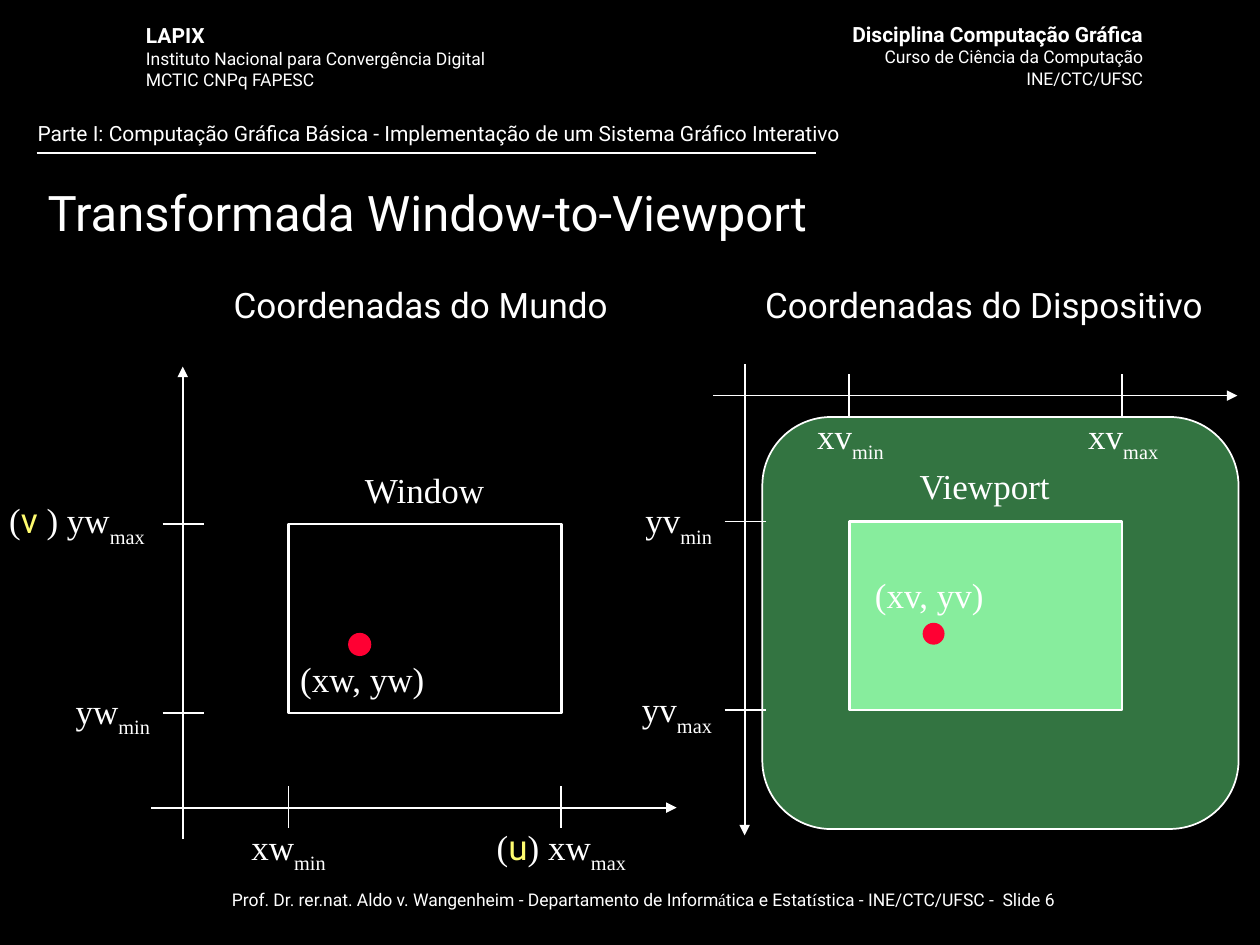
from pptx import Presentation
from pptx.dml.color import RGBColor
from pptx.enum.shapes import MSO_CONNECTOR, MSO_SHAPE
from pptx.enum.text import MSO_ANCHOR, MSO_AUTO_SIZE, PP_ALIGN
from pptx.oxml.ns import qn
from pptx.util import Inches, Pt
from lxml import etree

LEFT, MID, RIGHT = PP_ALIGN.LEFT, PP_ALIGN.CENTER, PP_ALIGN.RIGHT
TOP, MIDDLE = MSO_ANCHOR.TOP, MSO_ANCHOR.MIDDLE
GROW, FIXED = MSO_AUTO_SIZE.SHAPE_TO_FIT_TEXT, MSO_AUTO_SIZE.NONE
RECT, ROUND, DOT = MSO_SHAPE.RECTANGLE, MSO_SHAPE.ROUNDED_RECTANGLE, MSO_SHAPE.OVAL
STRAIGHT = MSO_CONNECTOR.STRAIGHT

SANS, SERIF = "Roboto", "Times New Roman"
WHITE, BLACK, YELLOW, RED = "FFFFFF", "000000", "FFFC6F", "FF0033"
GREEN, MINT = "66E882", "87ED9D"
COLS, ROWS = 100, 75


def tint(code):
    return RGBColor.from_string(code)


def part(text, font=SERIF, size=20, color=WHITE, bold=False, sub=False):
    """Describe one run of text."""
    return text, font, size, color, bold, sub


def sans(text, size, bold=False):
    return part(text, SANS, size, bold=bold)


def term(name, sub, mark=None, gap=""):
    """Runs of a subscripted name, with an optional yellow mark before it."""
    lead = [part(name)]
    if mark:
        lead = [part("("), part(mark, SANS, color=YELLOW), part(f"{gap}) {name}")]
    return [lead + [part(sub, sub=True)]]


class Board:
    """Draws on one slide; every length is in grid columns and rows."""

    def __init__(self, deck):
        self.col = deck.slide_width / COLS
        self.row = deck.slide_height / ROWS
        self.slide = deck.slides.add_slide(deck.slide_layouts[6])
        self.shapes = self.slide.shapes
        fill = self.slide.background.fill
        fill.solid()
        fill.fore_color.rgb = tint(BLACK)

    def place(self, *cells):
        """Turn alternating columns and rows into lengths."""
        return [round(n * (self.row if i % 2 else self.col))
                for i, n in enumerate(cells)]

    def text(self, box, paras, align=MID, wrap=False, size=GROW, anchor=TOP, before=0):
        frame = self.shapes.add_textbox(*self.place(*box)).text_frame
        frame.word_wrap = wrap
        frame.auto_size = size
        frame.vertical_anchor = anchor
        for i, parts in enumerate(paras):
            para = frame.add_paragraph() if i else frame.paragraphs[0]
            para.alignment = align
            para.space_before = Pt(before)
            for item in parts:
                self.run(para, *item)

    def run(self, para, text, name, size, color, bold, sub):
        run = para.add_run()
        run.text = text
        font = run.font
        font.name, font.size, font.bold = name, Pt(size), bold
        font.color.rgb = tint(color)
        if sub:
            run._r.get_or_add_rPr().set("baseline", "-30000")

    def line(self, start, end, arrow=False):
        line = self.shapes.add_connector(STRAIGHT, *self.place(*start, *end))
        line.line.color.rgb = tint(WHITE)
        line.line.width = Pt(1)
        if arrow:
            etree.SubElement(line.line._get_or_add_ln(), qn("a:tailEnd"), type="triangle")
        etree.SubElement(line._element.spPr, qn("a:effectLst"))

    def shape(self, kind, box, fill=None, edge=WHITE, width=1, alpha=None):
        shape = self.shapes.add_shape(kind, *self.place(*box))
        shape.shadow.inherit = False
        shape.line.color.rgb = tint(edge)
        shape.line.width = Pt(width)
        if fill is None:
            shape.fill.background()
            return
        shape.fill.solid()
        shape.fill.fore_color.rgb = tint(fill)
        if alpha:
            color = shape._element.spPr.find(".//" + qn("a:srgbClr"))
            etree.SubElement(color, qn("a:alpha"), val=str(alpha * 1000))

    def dot(self, x, y, size):
        self.shape(DOT, (x, y, size, size), RED, RED)

    def frame(self, box, tick, fill=None):
        """Draw a framed area and its ticks; tick is their left and top start."""
        x, y, wide, high = box
        left, top = tick
        span = 3.3
        self.shape(RECT, box, fill, width=1.5)
        for at in (x, x + wide):
            self.line((at, top), (at, top + span))
        for at in (y, y + high):
            self.line((left, at), (left + span, at))


def header(board):
    board.text((6.9, 70.1, 88.3, 4.4), [[
        sans("Prof. Dr. rer.nat. Aldo v. Wangenheim - Departamento de Inform", 10),
        part("á", size=10), sans("tica e Estat", 10), part("í", size=10),
        sans("stica - INE/CTC/UFSC -  Slide 6", 10)]], wrap=True, before=6.2)
    board.line((2.9, 12.15), (64.8, 12.15))
    board.text((2, 9.1, 95, 3), [[sans(
        "Parte I: Computação Gráfica Básica - Implementação de um "
        "Sistema Gráfico Interativo", 12)]], LEFT, wrap=True)
    heads = [
        ((64.2, 1.2, 27.5, 6.3), RIGHT, "Disciplina Computação Gráfica",
         "Curso de Ciência da Computação", "INE/CTC/UFSC"),
        ((10.6, 1.3, 29.2, 6.5), LEFT, "LAPIX",
         "Instituto Nacional para Convergência Digital", "MCTIC CNPq FAPESC"),
    ]
    for box, align, name, *rest in heads:
        board.text(box, [[sans(name, 12, True)]] + [[sans(t, 10)] for t in rest], align)
    board.text((2.8, 14, 85, 5.7), [[sans("Transformada Window-to-Viewport", 28)]],
               LEFT, wrap=True, size=FIXED, anchor=MIDDLE)


def world(board):
    board.text((13.9, 22, 39, 4.4), [[sans("Coordenadas do Mundo", 20)]])
    board.line((14.5, 66.6), (14.5, 29.1), arrow=True)
    board.line((12, 64.1), (53.7, 64.1), arrow=True)
    board.frame((22.9, 41.6, 21.65, 15), (12.9, 62.4))
    board.dot(27.7, 50.3, 1.7)
    board.text((27.7, 36.7, 12, 4.4), [[part("Window")]])
    board.text((22.7, 51.7, 12.1, 4.4), [[part("(xw, yw)")]])
    board.text((18.9, 65, 8, 5), term("xw", "min"))
    board.text((38.1, 65, 12.9, 5), term("xw", "max", "u"))
    board.text((-0.9, 39.1, 13.8, 5), term("yw", "max ", "v", " "), RIGHT)
    board.text((4.8, 54.2, 8.1, 5), term("yw", "min"), RIGHT)


def device(board):
    board.text((55.2, 22, 45.8, 4.3), [[sans("Coordenadas do Dispositivo", 20)]])
    board.shape(ROUND, (60.5, 33.1, 37.8, 32.7), GREEN, alpha=50)
    board.line((59.1, 28.9), (59.1, 66.3), arrow=True)
    board.line((56.6, 31.4), (98.2, 31.4), arrow=True)
    board.frame((67.4, 41.4, 21.65, 14.95), (57.5, 29.7), MINT)
    board.dot(73.3, 49.5, 1.6)
    board.text((71.6, 36.4, 13.1, 4.3), [[part("Viewport")]])
    board.text((68.3, 45, 10.9, 4.3), [[part("(xv, yv)")]])
    board.text((63.8, 32.4, 7.4, 4.9), term("xv", "min"))
    board.text((85.3, 32.4, 7.7, 4.9), term("xv", "max"))
    board.text((50, 39.1, 7.5, 4.9), term("yv", "min"), RIGHT)
    board.text((49.5, 54.1, 8, 4.9), term("yv", "max"), RIGHT)


def main():
    deck = Presentation()
    deck.slide_width, deck.slide_height = Inches(10), Inches(7.5)
    board = Board(deck)
    header(board)
    world(board)
    device(board)
    deck.save("out.pptx")


if __name__ == "__main__":
    main()
